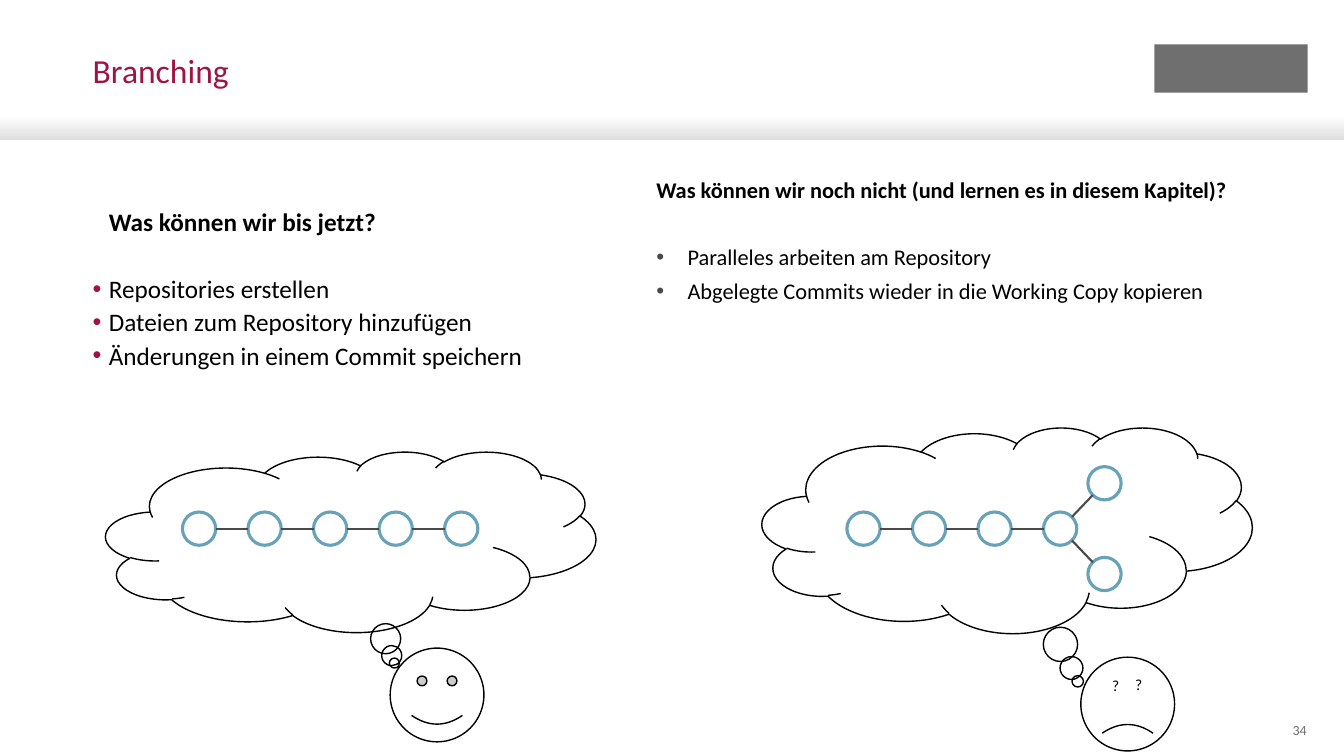
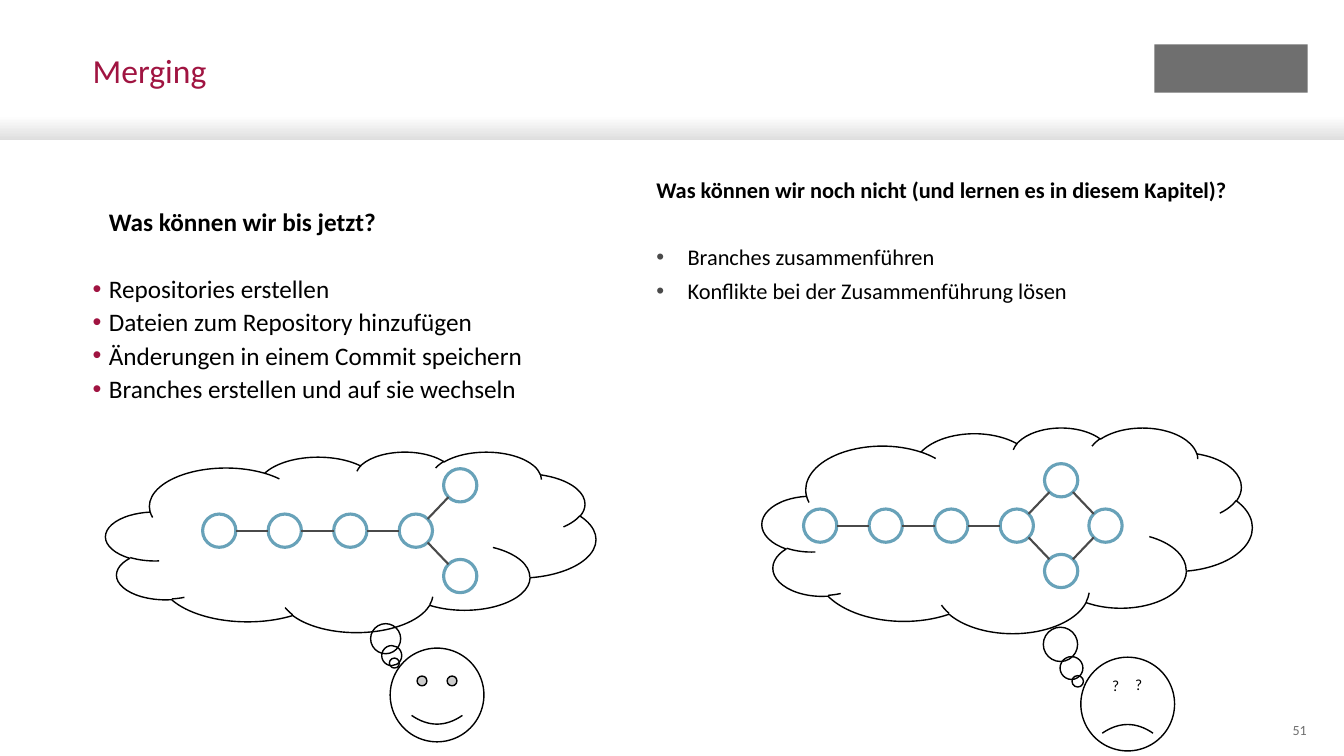
"""Build two slides on branching and merging: what we know and what comes next."""
import dataclasses
import math

import lxml.etree
import pptx
import pptx.dml.color
import pptx.enum.shapes
import pptx.enum.text
import pptx.oxml.ns
import pptx.util

Inches = pptx.util.Inches
Pt = pptx.util.Pt
SHAPE = pptx.enum.shapes.MSO_SHAPE
ALIGN = pptx.enum.text.PP_ALIGN
ANCHOR = pptx.enum.text.MSO_ANCHOR
qn = pptx.oxml.ns.qn


def rgb(color):
    return pptx.dml.color.RGBColor.from_string(color)


@dataclasses.dataclass(frozen=True)
class Theme:
    font: str = "Calibri"
    accent: str = "A01441"
    text: str = "000000"
    paper: str = "FFFFFF"
    band_end: str = "DEDEDE"
    muted: str = "6F6F6F"
    link: str = "4A4A4A"
    commit: str = "68A2B9"
    title_size: float = 24
    known_size: float = 18
    open_size: float = 16
    eye_size: float = 11
    number_size: float = 10
    outline_width: float = 1
    link_width: float = 1.5
    commit_width: float = 2.25


class Deck:
    COMMIT = 0.33
    STEP = 0.65
    FORK_X, FORK_Y = 0.44, 0.45

    def __init__(self, theme):
        self.theme = theme
        self.presentation = pptx.Presentation()
        self.presentation.slide_width = Inches(13.33)
        self.presentation.slide_height = Inches(7.5)
        self.slide = None

    def start(self, title, number):
        theme = self.theme
        self.slide = self.presentation.slides.add_slide(self.presentation.slide_layouts[6])
        band = self.shape(SHAPE.RECTANGLE, (0, 1.15, 13.33, 0.24), theme.paper)
        band.fill.gradient()
        band.fill.gradient_angle = 270
        for stop, color in zip(band.fill.gradient_stops, (theme.paper, theme.band_end)):
            stop.color.rgb = rgb(color)
        self.shape(SHAPE.RECTANGLE, (11.45, 0.44, 1.52, 0.48), theme.muted)
        self.text((0.92, 0.54, 10.24, 0.6), [title], theme.title_size, theme.accent, spacing=0.9)
        page = self.text((12.41, 7.14, 0.55, 0.21), [number], theme.number_size, theme.muted)
        page.vertical_anchor = ANCHOR.MIDDLE
        page.paragraphs[0].alignment = ALIGN.RIGHT

    def shape(self, kind, box, fill=None, line=None, width=1, adjustments=()):
        shape = self.slide.shapes.add_shape(kind, *map(Inches, box))
        shape.shadow.inherit = False
        if fill:
            shape.fill.solid()
            shape.fill.fore_color.rgb = rgb(fill)
        else:
            shape.fill.background()
        if line:
            shape.line.color.rgb = rgb(line)
            shape.line.width = Pt(width)
        else:
            shape.line.fill.background()
        for index, value in enumerate(adjustments):
            shape.adjustments[index] = value
        return shape

    def text(self, box, lines, size, color, spacing=1.0):
        frame = self.slide.shapes.add_textbox(*map(Inches, box)).text_frame
        frame.word_wrap = True
        frame.margin_left = frame.margin_right = frame.margin_top = frame.margin_bottom = 0
        frame.text = "\n".join(lines)
        for paragraph in frame.paragraphs:
            paragraph.line_spacing = spacing
            for run in paragraph.runs:
                run.font.name = self.theme.font
                run.font.size = Pt(size)
                run.font.color.rgb = rgb(color)
        return frame

    def topics(self, box, heading, items, size, bullet, indent, heading_indent=0, before=0):
        frame = self.text(box, [heading, *items], size, self.theme.text, spacing=1.1)
        first, *rest = frame.paragraphs
        first.runs[0].font.bold = True
        first.space_after = Pt(24)
        first._p.get_or_add_pPr().set("marL", str(Inches(heading_indent)))
        for paragraph in rest:
            paragraph.space_before = Pt(before)
            properties = paragraph._p.get_or_add_pPr()
            properties.set("marL", str(Inches(indent)))
            properties.set("indent", str(-Inches(indent)))
            tint = lxml.etree.SubElement(properties, qn("a:buClr"))
            lxml.etree.SubElement(tint, qn("a:srgbClr"), val=bullet)
            lxml.etree.SubElement(properties, qn("a:buFont"), typeface="Arial")
            lxml.etree.SubElement(properties, qn("a:buChar"), char="•")

    def known(self, items):
        self.topics((0.92, 2.02, 5.4, 2.2), "Was können wir bis jetzt?", items,
                    self.theme.known_size, self.theme.accent, 0.16, heading_indent=0.16)

    def unknown(self, items):
        self.topics((6.51, 1.72, 5.91, 1.6),
                    "Was können wir noch nicht (und lernen es in diesem Kapitel)?", items,
                    self.theme.open_size, self.theme.link, 0.31, before=3)

    def thought(self, cloud, tail, face, smile):
        theme = self.theme
        self.shape(SHAPE.SMILEY_FACE, (*face, 0.93, 0.93), theme.paper, theme.text,
                   theme.outline_width, [smile])
        self.shape(SHAPE.CLOUD_CALLOUT, cloud, None, theme.text, theme.outline_width, tail)

    def happy_thought(self):
        self.thought((1.05, 4.48, 4.86, 1.79), (0.089, 0.672), (3.87, 6.43), 0.0465)

    def puzzled_thought(self):
        self.thought((7.56, 4.24, 4.86, 2.04), (0.144, 0.735), (10.72, 6.52), -0.0465)
        self.shape(SHAPE.RECTANGLE, (10.96, 6.76, 0.46, 0.16), self.theme.paper)
        for left, top in ((11.03, 6.69), (11.26, 6.68)):
            self.text((left, top, 0.1, 0.19), ["?"], self.theme.eye_size, self.theme.text,
                      spacing=1.1)

    def link(self, start, end):
        dx, dy = end[0] - start[0], end[1] - start[1]
        reach = self.COMMIT / 2 * (math.sqrt(0.5) if dy else 1)
        across = math.copysign(reach, dx)
        down = math.copysign(reach, dy) if dy else 0
        half = self.COMMIT / 2
        ends = (start[0] + half + across, start[1] + half + down,
                end[0] + half - across, end[1] + half - down)
        line = self.slide.shapes.add_connector(
            pptx.enum.shapes.MSO_CONNECTOR.STRAIGHT, *map(Inches, ends))
        line.line.color.rgb = rgb(self.theme.link)
        line.line.width = Pt(self.theme.link_width)
        lxml.etree.SubElement(line._element.spPr, qn("a:effectLst"))

    def history(self, left, top, count, forked=False, merged=False):
        commits = [(left + i * self.STEP, top) for i in range(count)]
        links = list(zip(commits, commits[1:]))
        if forked:
            fork = commits[-1]
            tips = [(fork[0] + self.FORK_X, top + side * self.FORK_Y) for side in (-1, 1)]
            links += [(fork, tip) for tip in tips]
            commits += tips
            if merged:
                merge = (fork[0] + 2 * self.FORK_X, top)
                links += [(tip, merge) for tip in tips]
                commits.append(merge)
        for commit in commits:
            self.shape(SHAPE.OVAL, (*commit, self.COMMIT, self.COMMIT), None,
                       self.theme.commit, self.theme.commit_width)
        for start, end in links:
            self.link(start, end)


def main():
    deck = Deck(Theme())
    basics = ["Repositories erstellen", "Dateien zum Repository hinzufügen",
              "Änderungen in einem Commit speichern"]
    chapters = [
        ("Branching", "34", basics,
         ["Paralleles arbeiten am Repository",
          "Abgelegte Commits wieder in die Working Copy kopieren"],
         dict(left=1.81, top=5.08, count=5),
         dict(left=8.4, top=5.08, count=4, forked=True)),
        ("Merging", "51", basics + ["Branches erstellen und auf sie wechseln"],
         ["Branches zusammenführen", "Konflikte bei der Zusammenführung lösen"],
         dict(left=2.01, top=5.1, count=4, forked=True),
         dict(left=7.97, top=5.05, count=4, forked=True, merged=True)),
    ]
    for title, number, known, unknown, current, upcoming in chapters:
        deck.start(title, number)
        deck.known(known)
        deck.unknown(unknown)
        deck.happy_thought()
        deck.history(**current)
        deck.puzzled_thought()
        deck.history(**upcoming)
    deck.presentation.save("out.pptx")


if __name__ == "__main__":
    main()
